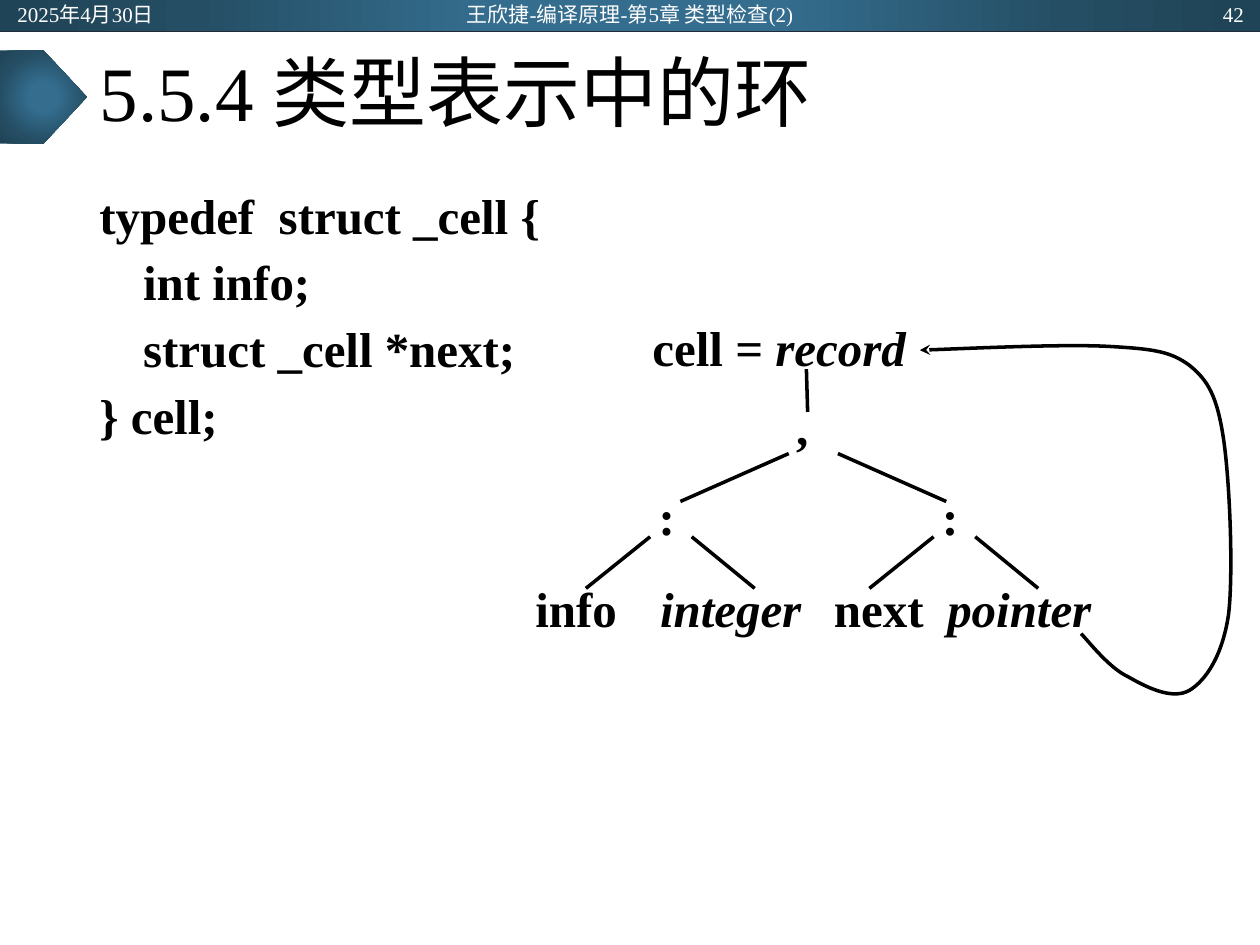
import pptx
import pptx.util
import pptx.dml.color
import pptx.enum.shapes
import pptx.enum.text
import pptx.oxml
import pptx.oxml.ns
from lxml import etree

Inches = pptx.util.Inches
Pt = pptx.util.Pt
RGBColor = pptx.dml.color.RGBColor
Shape = pptx.enum.shapes.MSO_SHAPE
Align = pptx.enum.text.PP_ALIGN
Anchor = pptx.enum.text.MSO_ANCHOR
qn = pptx.oxml.ns.qn

FONT = "Times New Roman"
BLACK = RGBColor(0x00, 0x00, 0x00)
WHITE = RGBColor(0xFF, 0xFF, 0xFF)
RULE = RGBColor(0x22, 0x2A, 0x35)
BLUE = RGBColor(0x34, 0x6D, 0x8E)
MID_BLUE = RGBColor(0x25, 0x4E, 0x64)
DEEP_BLUE = RGBColor(0x20, 0x44, 0x57)
GLOW = [(0, BLUE), (23, BLUE), (69, MID_BLUE), (97, DEEP_BLUE)]


def style_span(span, size, color=BLACK, bold=False, italic=False):
    span.font.name = FONT
    span.font.size = Pt(size)
    span.font.color.rgb = color
    span.font.bold = bold
    span.font.italic = italic


def add_text(page, left, top, width, height):
    box = page.shapes.add_textbox(Inches(left), Inches(top), Inches(width), Inches(height))
    box.text_frame.word_wrap = True
    return box


def add_line(page, start, end, color=BLACK, width=2):
    ends = [Inches(value) for value in (*start, *end)]
    line = page.shapes.add_connector(pptx.enum.shapes.MSO_CONNECTOR.STRAIGHT, *ends)
    line.line.color.rgb = color
    line.line.width = Pt(width)
    etree.SubElement(line._element.spPr, qn("a:effectLst"))


def add_glowing_shape(page, kind, left, top, width, height):
    """Add a shape with a radial gradient, light in the middle."""
    shape = page.shapes.add_shape(kind, Inches(left), Inches(top), Inches(width), Inches(height))
    shape.shadow.inherit = False
    shape.line.fill.background()
    shape.fill.gradient()
    stops = "".join(
        f'<a:gs pos="{pos * 1000}"><a:srgbClr val="{color}"/></a:gs>' for pos, color in GLOW)
    radial = pptx.oxml.parse_xml(
        f'<a:gradFill {pptx.oxml.ns.nsdecls("a")} rotWithShape="1"><a:gsLst>{stops}</a:gsLst>'
        '<a:path path="circle"><a:fillToRect l="50000" t="50000" r="50000" b="50000"/></a:path>'
        '</a:gradFill>')
    properties = shape._element.spPr
    properties.replace(properties.find(qn("a:gradFill")), radial)


def add_header(page, left, top, width, height):
    add_glowing_shape(page, Shape.RECTANGLE, left, top, width, height)
    add_line(page, (left, top + height), (left + width, top + height), RULE, 0.5)
    fields = [
        (0.04, 2.25, "2025年4月30日", Align.LEFT),
        (3.31, 3.38, "王欣捷-编译原理-第5章 类型检查(2)", Align.CENTER),
        (7.72, 2.25, "42", Align.RIGHT),
    ]
    for offset, field_width, text, align in fields:
        box = add_text(page, left + offset, top + 0.01, field_width, 0.2)
        box.text_frame.vertical_anchor = Anchor.MIDDLE
        para = box.text_frame.paragraphs[0]
        para.text = text
        para.alignment = align
        style_span(para.runs[0], 12, WHITE)


def add_title(page, left, top, width, height):
    add_glowing_shape(page, Shape.PENTAGON, 0, top + 0.15, left, 0.74)
    title = page.shapes.title
    title.left, title.top = Inches(left), Inches(top)
    title.width, title.height = Inches(width), Inches(height)
    title.text_frame.text = "5.5.4 类型表示中的环"
    title.text_frame.auto_size = pptx.enum.text.MSO_AUTO_SIZE.NONE
    title.text_frame.vertical_anchor = Anchor.MIDDLE
    para = title.text_frame.paragraphs[0]
    para.alignment = Align.LEFT
    para.line_spacing = 0.9
    style_span(para.runs[0], 44)


def add_code(page, left, top, width, height):
    box = add_text(page, left, top, width, height)
    box.text_frame.text = "\n".join([
        "typedef  struct _cell {", "\t int info;", "\t struct _cell *next;", "} cell;"])
    for index, para in enumerate(box.text_frame.paragraphs):
        properties = para._p.get_or_add_pPr()
        properties.set("marL", str(Inches(0.25)))
        properties.set("indent", str(Inches(-0.25)))
        para.space_before = Pt(4.5 if index else 0)
        for span in para.runs:
            style_span(span, 28, bold=True)


def add_label(page, left, top, width, *parts):
    """Add a tree label; each part is (text, italic)."""
    frame = add_text(page, left, top, width, 0.43).text_frame
    frame.margin_left, frame.margin_right = Inches(0.1), Inches(0.02)
    frame.margin_top = frame.margin_bottom = Inches(0.01)
    para = frame.paragraphs[0]
    para.alignment = Align.JUSTIFY
    for text, italic in parts:
        span = para.add_run()
        span.text = text
        style_span(span, 28, bold=True, italic=italic)


def add_curved_arrow(page, points):
    """Draw Bezier curves; after the start, every three points make one curve."""
    start, *rest = [(Inches(x), Inches(y)) for x, y in points]
    builder = page.shapes.build_freeform(*start)
    builder.add_line_segments(rest, close=False)
    arrow = builder.convert_to_shape()
    arrow.shadow.inherit = False
    arrow.fill.background()
    arrow.line.color.rgb = BLACK
    arrow.line.width = Pt(2)
    # Turn each group of three segments into a cubic curve
    segments = list(arrow._element.iter(qn("a:lnTo")))
    for first in range(0, len(segments), 3):
        group = segments[first:first + 3]
        curve = etree.Element(qn("a:cubicBezTo"))
        group[0].addprevious(curve)
        for segment in group:
            curve.append(segment[0])
            segment.getparent().remove(segment)
    outline = arrow._element.spPr.find(qn("a:ln"))
    etree.SubElement(outline, qn("a:tailEnd"), type="stealth")


def add_type_tree(page, left, top):
    def at(x, y):
        return left + x, top + y

    # Root and its pair of branches
    add_label(page, *at(0.93, 0), 2.31, ("cell = ", False), ("record", True))
    add_label(page, *at(2.07, 0.63), 0.7, (",", False))
    add_line(page, at(2.25, 0.42), at(2.26, 0.76))
    add_line(page, at(2.11, 1.09), at(1.25, 1.47))
    add_line(page, at(2.5, 1.09), at(3.36, 1.47))

    # Each field: a colon with two twigs
    for shift in (0, 2.25):
        add_label(page, *at(0.98 + shift, 1.34), 0.7, (":", False))
        add_line(page, at(1.01 + shift, 1.75), at(0.5 + shift, 2.16))
        add_line(page, at(1.34 + shift, 1.75), at(1.84 + shift, 2.16))

    # Leaves
    leaves = [(0, 1, "info", False), (0.99, 1.36, "integer", True),
              (2.37, 1, "next", False), (3.27, 1.84, "pointer", True)]
    for x, width, text, italic in leaves:
        add_label(page, *at(x, 2.07), width, (text, italic))

    # Cycle from the pointer back to the record
    cycle = [(4.43, 2.52),
             (4.49, 2.58), (4.65, 2.79), (4.8, 2.86),
             (4.94, 2.94), (5.15, 3.05), (5.29, 2.97),
             (5.42, 2.89), (5.55, 2.7), (5.6, 2.37),
             (5.64, 2.04), (5.61, 1.3), (5.56, 0.97),
             (5.51, 0.64), (5.44, 0.51), (5.29, 0.39),
             (5.14, 0.28), (5.01, 0.26), (4.65, 0.24),
             (4.29, 0.22), (3.46, 0.26), (3.15, 0.27)]
    add_curved_arrow(page, [at(x, y) for x, y in cycle])


def main():
    deck = pptx.Presentation()
    deck.slide_width, deck.slide_height = Inches(10), Inches(7.5)
    page = deck.slides.add_slide(deck.slide_layouts[5])
    add_header(page, 0, 0, 10, 0.25)
    add_title(page, 0.69, 0.25, 8.62, 1.04)
    add_code(page, 0.69, 1.42, 8.62, 5.34)
    add_type_tree(page, 4.15, 2.51)
    deck.save("out.pptx")


if __name__ == "__main__":
    main()
